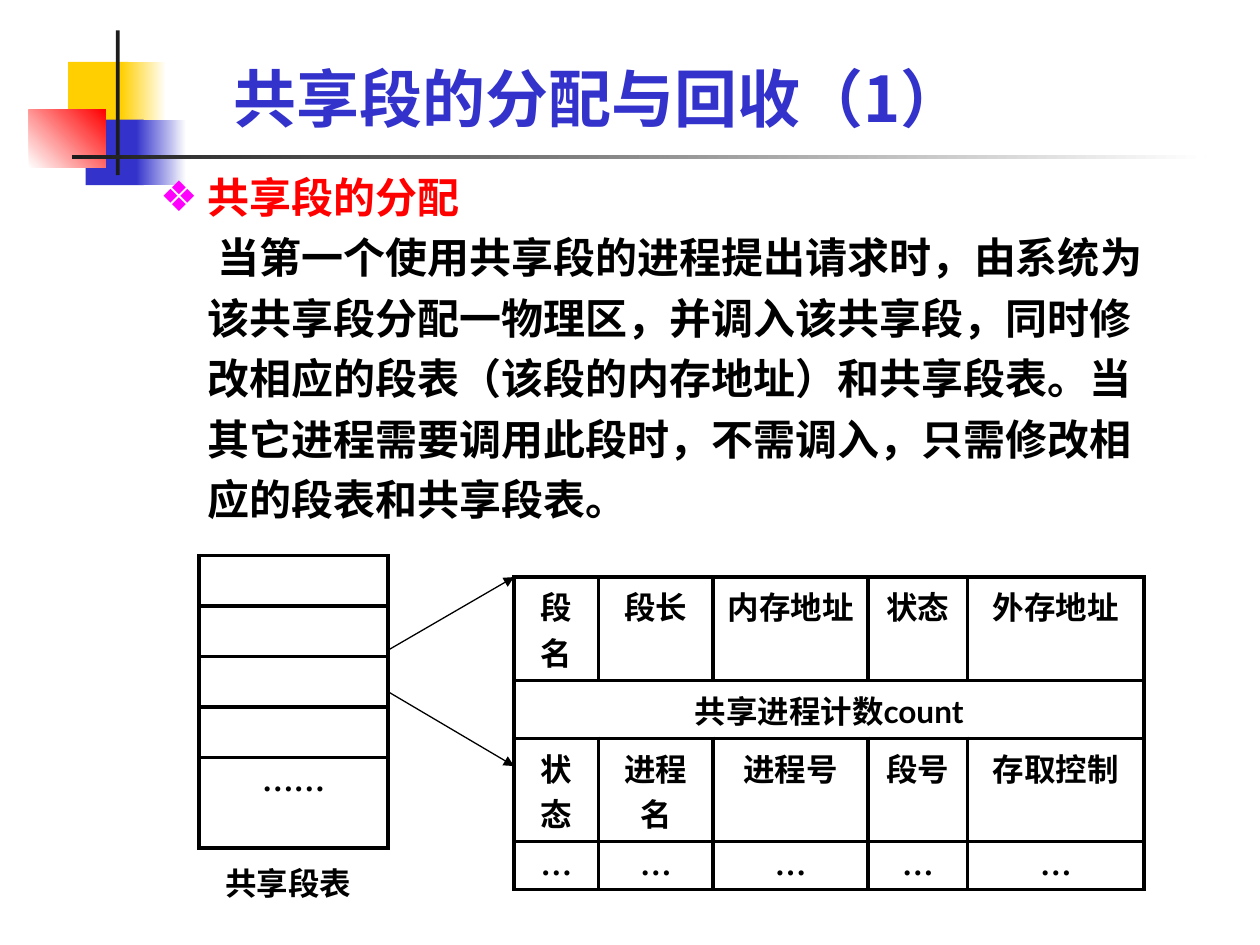
from lxml import etree
from pptx import Presentation
from pptx import util as u
from pptx.dml import color
from pptx.enum import shapes, text
from pptx.oxml import ns

PX = 9144
CJK, LATIN, SERIF = "Noto Sans CJK SC", "Lato", "Times New Roman"
BLACK, BLUE, GOLD, RED, WHITE = "000000", "3333CC", "FFCF01", "FF0000", "FFFFFF"
INK, PINK = "1C1C1C", "FF00FF"


def px(*lengths):
    return [u.Emu(length * PX) for length in lengths]


def rgb(value):
    return color.RGBColor.from_string(value)


def child(parent, tag, **attributes):
    return etree.SubElement(parent, ns.qn(tag), attributes)


def style(para, size, font, hue=BLACK):
    for span in para.runs:
        span.font.size = u.Pt(size)
        span.font.bold = True
        span.font.name = font
        span.font.color.rgb = rgb(hue)
        child(span.font._element, "a:ea", typeface=CJK)


def place(shape, box):
    shape.left, shape.top, shape.width, shape.height = px(*box)


def add_block(page, box, start, end=None, angle=0):
    block = page.shapes.add_shape(shapes.MSO_SHAPE.RECTANGLE, *px(*box))
    block.shadow.inherit = False
    block.line.fill.background()
    if end is None:
        block.fill.solid()
        block.fill.fore_color.rgb = rgb(start)
        return
    block.fill.gradient()
    block.fill.gradient_angle = angle
    for stop, hue in zip(block.fill.gradient_stops, (start, end)):
        stop.color.rgb = rgb(hue)


def add_emblem(page, box):
    left, top, width, height = box
    for x, y, solid, fade, hue in ((31, 25, 48, 36, GOLD), (45, 71, 46, 40, BLUE)):
        add_block(page, (left + x, top + y, solid, 52), hue)
        add_block(page, (left + x + solid - 6, top + y, fade, 52), hue, WHITE)
    add_block(page, (left, top + 63, 61, 46), WHITE, RED, 45)
    add_block(page, (left + 69, top, 3, height), INK)
    add_block(page, (left + 34, top + 99, width - 34, 3), INK, WHITE)


def fill_title(title, box):
    place(title, box)
    frame = title.text_frame
    frame.text = "共享段的分配与回收（1）"
    frame.vertical_anchor = text.MSO_ANCHOR.BOTTOM
    frame.paragraphs[0].alignment = text.PP_ALIGN.LEFT
    style(frame.paragraphs[0], 36, CJK, BLUE)


def fill_body(body, box):
    place(body, box)
    frame = body.text_frame
    frame.auto_size = text.MSO_AUTO_SIZE.NONE
    frame.text = (
        "共享段的分配\n"
        "当第一个使用共享段的进程提出请求时，由系统为该共享段分配一物理区，"
        "并调入该共享段，同时修改相应的段表（该段的内存地址）和共享段表。"
        "当其它进程需要调用此段时，不需调入，只需修改相应的段表和共享段表。"
    )
    heading, detail = frame.paragraphs
    for para, hue, indent in ((heading, RED, -38), (detail, BLACK, 8)):
        style(para, 24, CJK, hue)
        para.line_spacing = 1.2
        para.space_before = u.Pt(0)
        layout = para._p.get_or_add_pPr()
        layout.set("marL", str(38 * PX))
        layout.set("indent", str(indent * PX))
    layout = heading._p.get_or_add_pPr()
    child(child(layout, "a:buClr"), "a:srgbClr", val=PINK)
    child(layout, "a:buChar", char="❖")
    child(detail._p.get_or_add_pPr(), "a:buNone")


def frame_cell(cell):
    cell.margin_bottom = 0
    cell.fill.background()
    properties = cell._tc.get_or_add_tcPr()
    for index, side in enumerate(("a:lnL", "a:lnR", "a:lnT", "a:lnB")):
        line = child(properties, side, w=str(u.Pt(2.25)))
        child(child(line, "a:solidFill"), "a:srgbClr", val=BLACK)
        properties.insert(index, line)


def add_grid(page, box, columns, rows, contents):
    grid = page.shapes.add_table(len(rows), len(columns), *px(*box)).table
    grid.first_row = grid.horz_banding = False
    for column, width in zip(grid.columns, px(*columns)):
        column.width = width
    for row, height, words in zip(grid.rows, px(*rows), contents):
        row.height = height
        for cell, word in zip(row.cells, words):
            frame_cell(cell)
            cell.text = word
            para = cell.text_frame.paragraphs[0]
            para.alignment = text.PP_ALIGN.CENTER
            style(para, 18, SERIF if "…" in word else LATIN)
    return grid


def add_segment_table(page, box):
    left, top, width, height = box
    rows = [40] * 4 + [height - 160]
    add_grid(page, box, [width], rows, [[""]] * 4 + [["……"]])
    caption = page.shapes.add_textbox(*px(left + 11, top + height + 8, 142, 40))
    caption.text_frame.word_wrap = True
    caption.text_frame.text = "共享段表"
    style(caption.text_frame.paragraphs[0], 18, LATIN)


def add_entry_table(page, box):
    contents = [
        ["段名", "段长", "内存地址", "状态", "外存地址"],
        ["共享进程计数count", "", "", "", ""],
        ["状态", "进程名", "进程号", "段号", "存取控制"],
        ["…"] * 5,
    ]
    grid = add_grid(page, box, [67, 91, 123, 79, 140], [82, 46, 82, 38], contents)
    grid.cell(1, 0).merge(grid.cell(1, 4))


def add_arrow(page, start, end):
    arrow = page.shapes.add_connector(shapes.MSO_CONNECTOR.STRAIGHT, *px(*start, *end))
    arrow.line.color.rgb = rgb(BLACK)
    arrow.line.width = u.Pt(0.75)
    child(arrow.line._get_or_add_ln(), "a:tailEnd", type="triangle")
    child(arrow._element.spPr, "a:effectLst")


def main():
    deck = Presentation()
    deck.slide_width, deck.slide_height = px(1000, 750)
    page = deck.slides.add_slide(deck.slide_layouts[1])
    title, body = page.placeholders
    add_emblem(page, (23, 24, 934, 115))
    for holder in (title, body):
        page.shapes._spTree.append(holder._element)
    fill_title(title, (175, 52, 735, 60))
    fill_body(body, (117, 123, 800, 245))
    add_segment_table(page, (158, 441, 150, 232))
    add_entry_table(page, (408, 458, 500, 248))
    add_arrow(page, (308, 516), (408, 458))
    add_arrow(page, (308, 549), (408, 608))
    deck.save("out.pptx")


if __name__ == "__main__":
    main()
